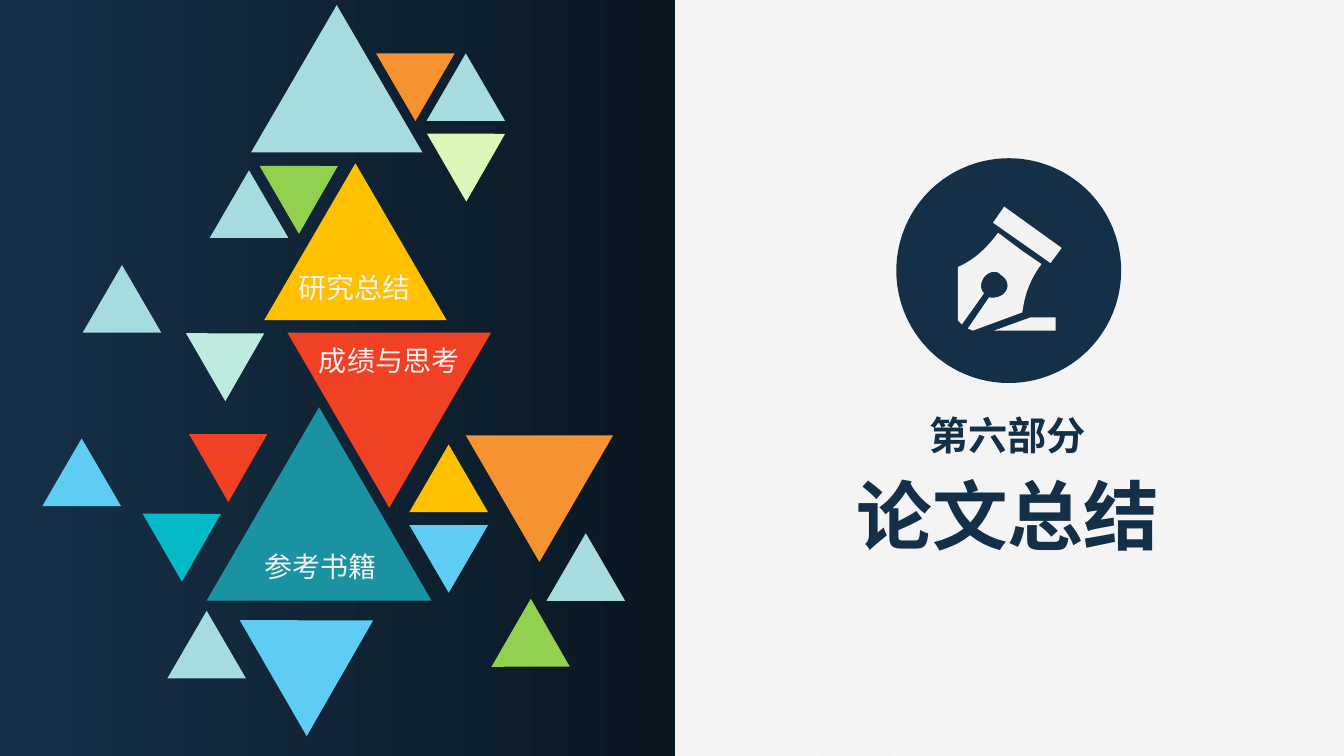
from lxml.etree import SubElement
from pptx import Presentation
from pptx.dml.color import RGBColor
from pptx.enum.dml import MSO_PATTERN
from pptx.enum.shapes import MSO_SHAPE
from pptx.enum.text import MSO_AUTO_SIZE, PP_ALIGN
from pptx.oxml.ns import qn
from pptx.util import Inches, Pt

FONT = "Noto Sans CJK SC"
NAVY, PALE, WHITE = "152F47", "F2F2F2", "FFFFFF"
AQUA, MINT, LIME, GREEN = "A7DCDE", "BEEBDF", "DCF7BA", "92D050"
RED, ORANGE, AMBER = "F14124", "F69230", "FFC000"
TEAL, CYAN, SKY = "1A92A2", "05BAC8", "5ECCF3"
SMALL = 7.8
TRIANGLE_RATIO = 0.86

TRIANGLES = [
    (8.2, 26.3, SMALL, 0, AQUA),
    (42.3, 5.3, SMALL, 0, AQUA),
    (19.4, 31.4, SMALL, 60, MINT),
    (28.5, 33, 20.2, 180, RED),
    (20.5, 40.4, 22.3, 0, TEAL),
    (16.6, 60.6, SMALL, 0, AQUA),
    (4.2, 43.5, SMALL, 0, SKY),
    (20.8, 16.9, SMALL, 0, AQUA),
    (26.7, 14.8, SMALL, 60, GREEN),
    (43.3, 11.6, SMALL, 60, LIME),
    (15.1, 49.3, SMALL, 60, CYAN),
    (46.2, 43.2, 14.6, 180, ORANGE),
    (40.6, 44.1, SMALL, 0, AMBER),
    (40.6, 52.1, SMALL, 180, SKY),
    (19.7, 41.4, SMALL, 60, RED),
    (25.4, 58.7, 13.3, 60, SKY),
    (54.2, 52.9, SMALL, 0, AQUA),
    (26.2, 16.2, 18.1, 0, AMBER),
    (49.7, 61.1, SMALL, 120, GREEN),
    (24.9, 0.5, 17, 0, AQUA),
    (37.3, 5.3, SMALL, 180, ORANGE),
]


def colour(code):
    """Turn a hex string into a colour."""
    return RGBColor.from_string(code)


def cells(count):
    """Convert grid cells, ten to the inch, to a length."""
    return Inches(count / 10)


def curve(*controls, steps=10):
    """Sample a cubic curve, leaving out its first point."""
    weights = [((1 - t) ** 3, 3 * t * (1 - t) ** 2, 3 * t * t * (1 - t), t ** 3)
               for t in (step / steps for step in range(1, steps + 1))]
    return [tuple(sum(w * point[axis] for w, point in zip(row, controls)) for axis in (0, 1))
            for row in weights]


NIB = [
    (95.4, 32.2), (95, 31.8), (95, 26.5),
    *curve((95, 26.5), (96.6, 25.8), (97.8, 24.7), (99, 23.1)),
    (101.4, 24.9), (103.3, 26.2),
    *curve((103.3, 26.2), (102.1, 27.8), (101.6, 29.4), (101.4, 31)),
    (96.5, 32.8), (96, 32.6), (98.1, 29.5),
    *curve((98.1, 29.5), (98.6, 29.6), (99.3, 29.5), (99.7, 29)),
    *curve((99.7, 29), (100.1, 28.5), (100, 27.7), (99.3, 27.3)),
    *curve((99.3, 27.3), (98.8, 26.7), (98, 27), (97.6, 27.5)),
    *curve((97.6, 27.5), (97.2, 28.1), (97.2, 28.7), (97.6, 29.1)),
]
INK_LINE = [(98.6, 32.8), (104.7, 32.8), (104.7, 31.5), (102.2, 31.5)]
COLLAR = [(104.2, 26.1), (105.3, 24.6), (99.6, 20.5), (98.5, 22.1)]


class Canvas:
    """Hold the style and the current slide."""

    def __init__(self, slide, font):
        """Keep the slide and its font."""
        self.slide = slide
        self.font = font

    def backdrop(self, front, back):
        """Fill the background with fine diagonals."""
        fill = self.slide.background.fill
        fill.patterned()
        fill.pattern = MSO_PATTERN.LIGHT_UPWARD_DIAGONAL
        fill.fore_color.rgb = colour(front)
        fill.back_color.rgb = colour(back)

    def paint(self, shape, code):
        """Give a shape a flat fill without line or shadow."""
        shape.shadow.inherit = False
        shape.line.fill.background()
        shape.fill.solid()
        shape.fill.fore_color.rgb = colour(code)
        return shape

    def shape(self, kind, left, top, width, height, code, parent=None):
        """Draw a preset shape."""
        shapes = (parent or self.slide).shapes
        return self.paint(shapes.add_shape(kind, *map(cells, (left, top, width, height))), code)

    def panel(self, width, height, codes):
        """Draw a side panel shaded from left to right."""
        panel = self.shape(MSO_SHAPE.RECTANGLE, 0, 0, width, height, codes[0])
        panel.fill.gradient()
        panel.fill.gradient_angle = 0
        for stop, code in zip(panel.fill.gradient_stops, codes):
            stop.color.rgb = colour(code)

    def triangle(self, left, top, width, turn, code):
        """Draw a triangle of the fixed proportion."""
        self.shape(MSO_SHAPE.ISOSCELES_TRIANGLE, left, top, width,
                   width * TRIANGLE_RATIO, code).rotation = turn

    def badge(self, left, top, size, outlines, disc_code, icon_code):
        """Draw an icon of several outlines on a disc."""
        badge = self.slide.shapes.add_group_shape()
        self.shape(MSO_SHAPE.OVAL, left, top, size, size, disc_code, badge)
        first, *others = [[(cells(x), cells(y)) for x, y in outline] for outline in outlines]
        icon = badge.shapes.build_freeform(*first[0])
        icon.add_line_segments(first[1:])
        for outline in others:
            icon.move_to(*outline[0])
            icon.add_line_segments(outline[1:])
        self.paint(icon.convert_to_shape(), icon_code)

    def text(self, words, left, top, width, height, size, code, bold=False, align=PP_ALIGN.CENTER):
        """Write one line of text."""
        frame = self.slide.shapes.add_textbox(*map(cells, (left, top, width, height))).text_frame
        frame.text = words
        frame.word_wrap = False
        frame.auto_size = MSO_AUTO_SIZE.SHAPE_TO_FIT_TEXT
        line = frame.paragraphs[0]
        line.alignment = align
        run = line.runs[0]
        run.font.size = Pt(size)
        run.font.bold = bold
        run.font.color.rgb = colour(code)
        run.font.name = self.font
        SubElement(run.font._element, qn("a:ea"), typeface=self.font)


def main():
    """Build the section slide."""
    deck = Presentation()
    deck.slide_width, deck.slide_height = Inches(13.33), Inches(7.5)
    canvas = Canvas(deck.slides.add_slide(deck.slide_layouts[6]), FONT)
    canvas.backdrop(WHITE, PALE)
    canvas.panel(66.9, 75, ("163048", "0A1721"))
    canvas.text("论文总结", 83.8, 46, 32.3, 10.1, 54, NAVY, bold=True)
    canvas.text("第六部分", 91.1, 40.3, 17.7, 5.7, 28, NAVY, bold=True)
    canvas.badge(88.9, 15.7, 22.3, (NIB, INK_LINE, COLLAR), NAVY, PALE)
    for triangle in TRIANGLES:
        canvas.triangle(*triangle)
    canvas.text("研究总结", 28.6, 26.3, 13.2, 4.4, 20, PALE, align=PP_ALIGN.LEFT)
    canvas.text("成绩与思考", 30.6, 33.6, 16, 4.4, 20, PALE)
    canvas.text("参考书籍", 25.2, 54, 13.2, 4.4, 20, PALE, align=PP_ALIGN.LEFT)
    deck.save("out.pptx")


if __name__ == "__main__":
    main()
